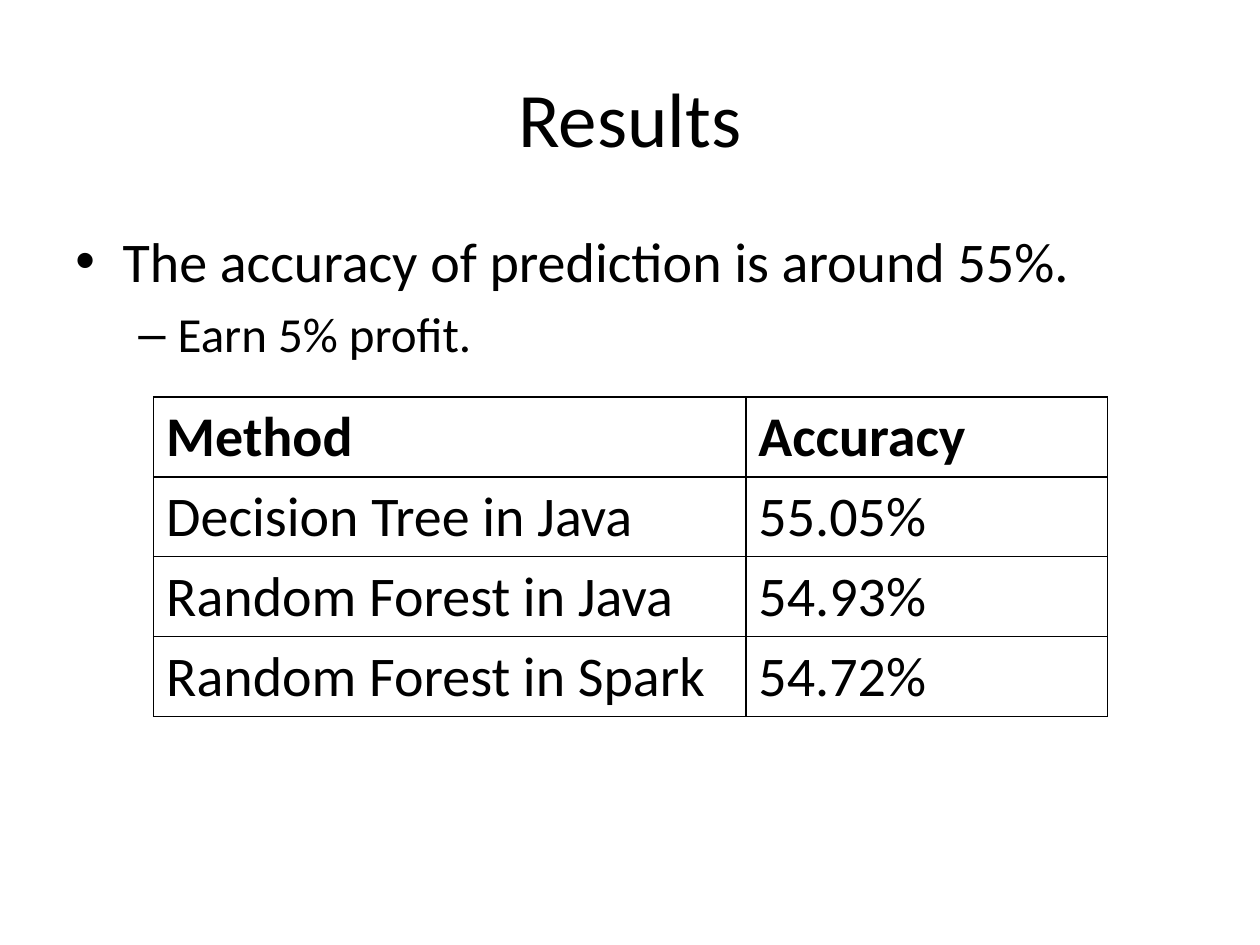
import pptx
import pptx.dml.color
import pptx.enum.text
import pptx.oxml
import pptx.oxml.ns
import pptx.util

Pt = pptx.util.Pt
BLACK = "000000"
BULLETS = [
    ("The accuracy of prediction is around 55%.", 0, 32, "•", 27, 27),
    ("Earn 5% profit.", 1, 28, "–", 58.5, 22.5),
]
RESULTS = [
    ("Method", "Accuracy"),
    ("Decision Tree in Java", "55.05%"),
    ("Random Forest in Java", "54.93%"),
    ("Random Forest in Spark", "54.72%"),
]


def color(value):
    """Turn a hex string into a colour."""
    return pptx.dml.color.RGBColor.from_string(value)


def format_runs(paragraph, size, bold=False):
    """Give every run of a paragraph its font."""
    for span in paragraph.runs:
        span.font.name = "Calibri"
        span.font.size = Pt(size)
        span.font.bold = bold
        span.font.color.rgb = color(BLACK)


def add_title(page, text):
    """Place and format the title placeholder."""
    title = page.shapes.title
    title.left, title.top, title.width, title.height = Pt(36), Pt(21.6), Pt(648), Pt(90)
    title.text_frame.text = text
    title.text_frame.vertical_anchor = pptx.enum.text.MSO_ANCHOR.MIDDLE
    paragraph = title.text_frame.paragraphs[0]
    paragraph.alignment = pptx.enum.text.PP_ALIGN.CENTER
    format_runs(paragraph, 44)


def set_bullet(paragraph, mark, margin, hanging):
    """Give a paragraph a bullet and a hanging indent."""
    properties = paragraph._p.get_or_add_pPr()
    properties.set("marL", str(Pt(margin)))
    properties.set("indent", str(-Pt(hanging)))
    namespace = pptx.oxml.ns.nsdecls("a")
    for xml in (f'<a:buFont {namespace} typeface="Arial"/>', f'<a:buChar {namespace} char="{mark}"/>'):
        properties.append(pptx.oxml.parse_xml(xml))


def add_bullets(page, items):
    """Add the bulleted text."""
    box = page.shapes.add_textbox(Pt(36), Pt(126), Pt(648), Pt(356.4))
    frame = box.text_frame
    frame.word_wrap = True
    frame.text = "\n".join(item[0] for item in items)
    for paragraph, (_, level, size, mark, margin, hanging) in zip(frame.paragraphs, items):
        paragraph.level = level
        paragraph.space_before = Pt(size * 0.2)
        set_bullet(paragraph, mark, margin, hanging)
        format_runs(paragraph, size)


def set_borders(cell):
    """Draw a thin line on all four sides of a cell."""
    properties = cell._tc.get_or_add_tcPr()
    for position, side in enumerate(("lnL", "lnR", "lnT", "lnB")):
        line = pptx.oxml.parse_xml(
            f'<a:{side} {pptx.oxml.ns.nsdecls("a")} w="{Pt(1)}"><a:solidFill>'
            f'<a:srgbClr val="{BLACK}"/></a:solidFill></a:{side}>'
        )
        properties.insert(position, line)


def add_results(page, rows):
    """Add the table of accuracies under a bold heading row."""
    widths = (338.4, 206.6)
    row_height = 45.5
    shape = page.shapes.add_table(
        len(rows), len(widths), Pt(87.8), Pt(226.8), Pt(sum(widths)), Pt(row_height * len(rows))
    )
    table = shape.table
    table.horz_banding = False
    for column, width in zip(table.columns, widths):
        column.width = Pt(width)
    for row_index, row in enumerate(rows):
        for column_index, text in enumerate(row):
            cell = table.cell(row_index, column_index)
            cell.text_frame.text = text
            cell.fill.background()
            set_borders(cell)
            format_runs(cell.text_frame.paragraphs[0], 32, bold=row_index == 0)


def main():
    """Build the slide and save it."""
    deck = pptx.Presentation()
    deck.slide_width, deck.slide_height = Pt(720), Pt(540)
    page = deck.slides.add_slide(deck.slide_layouts[5])
    add_title(page, "Results")
    add_bullets(page, BULLETS)
    add_results(page, RESULTS)
    deck.save("out.pptx")


main()
